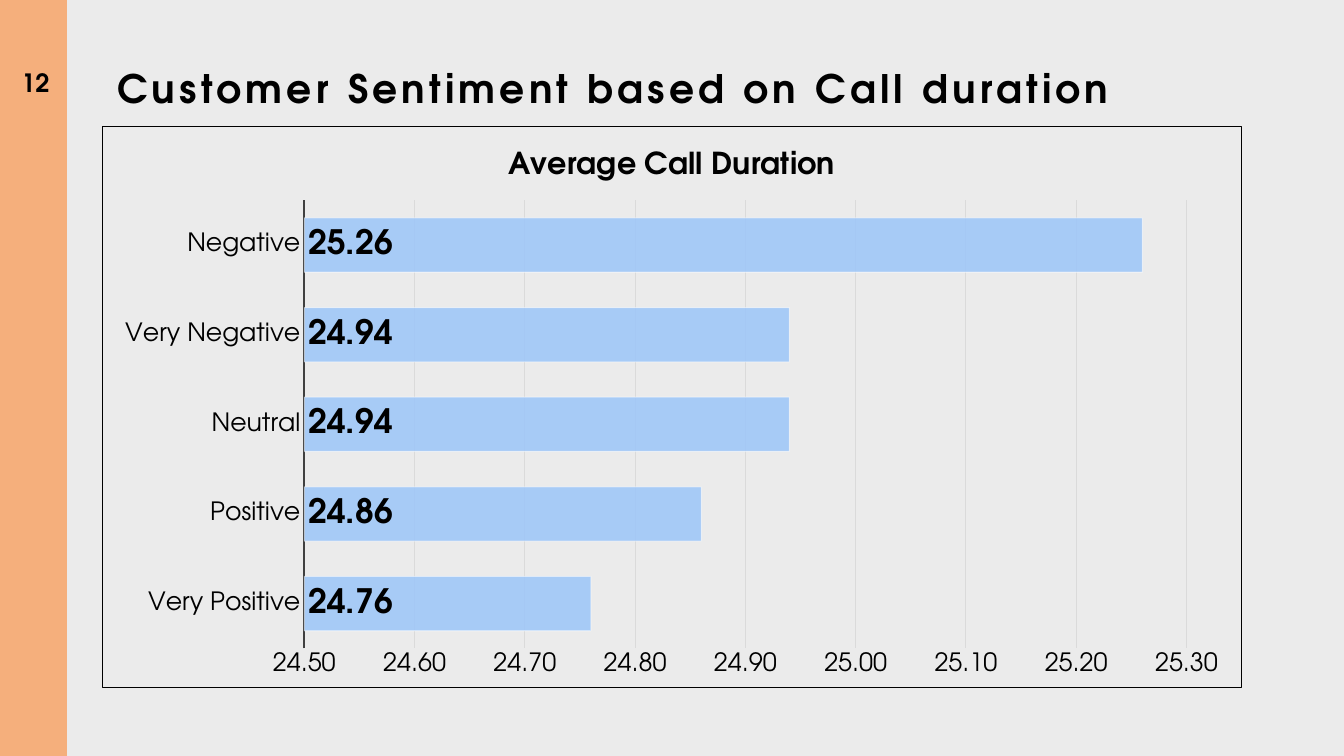
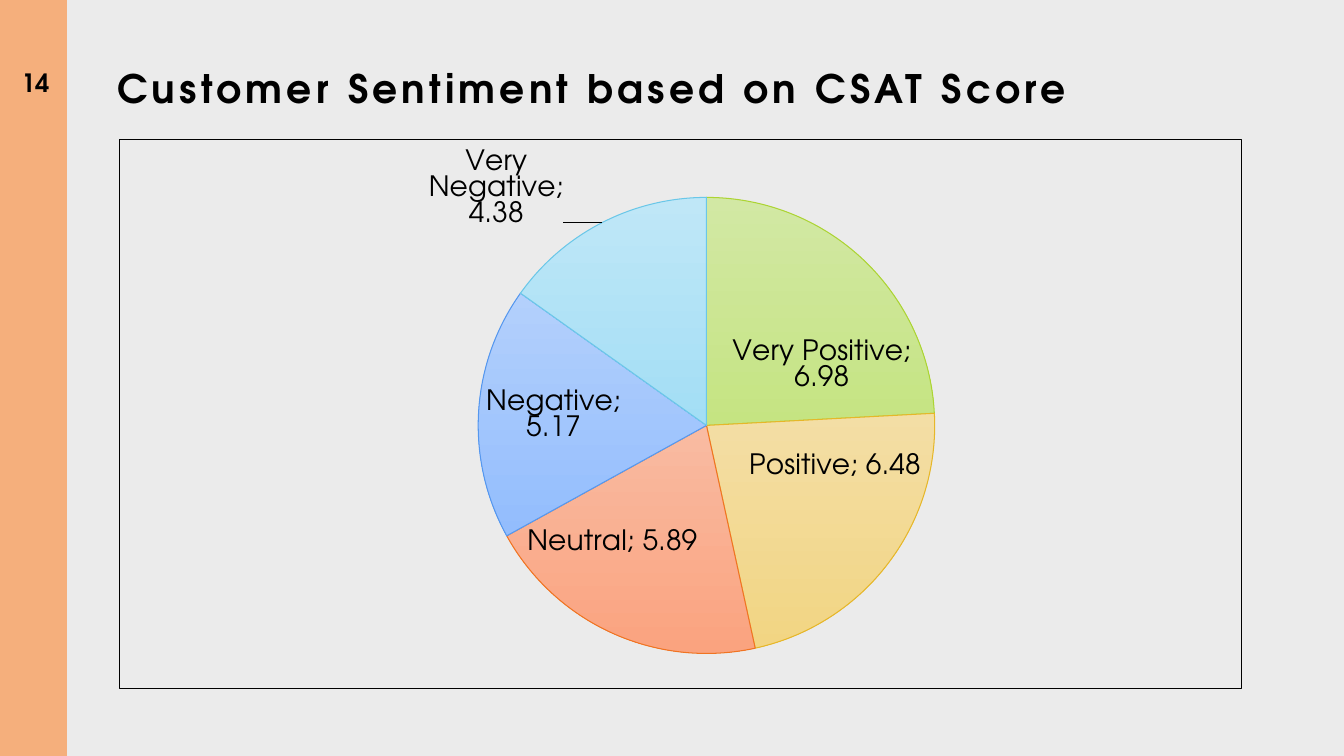
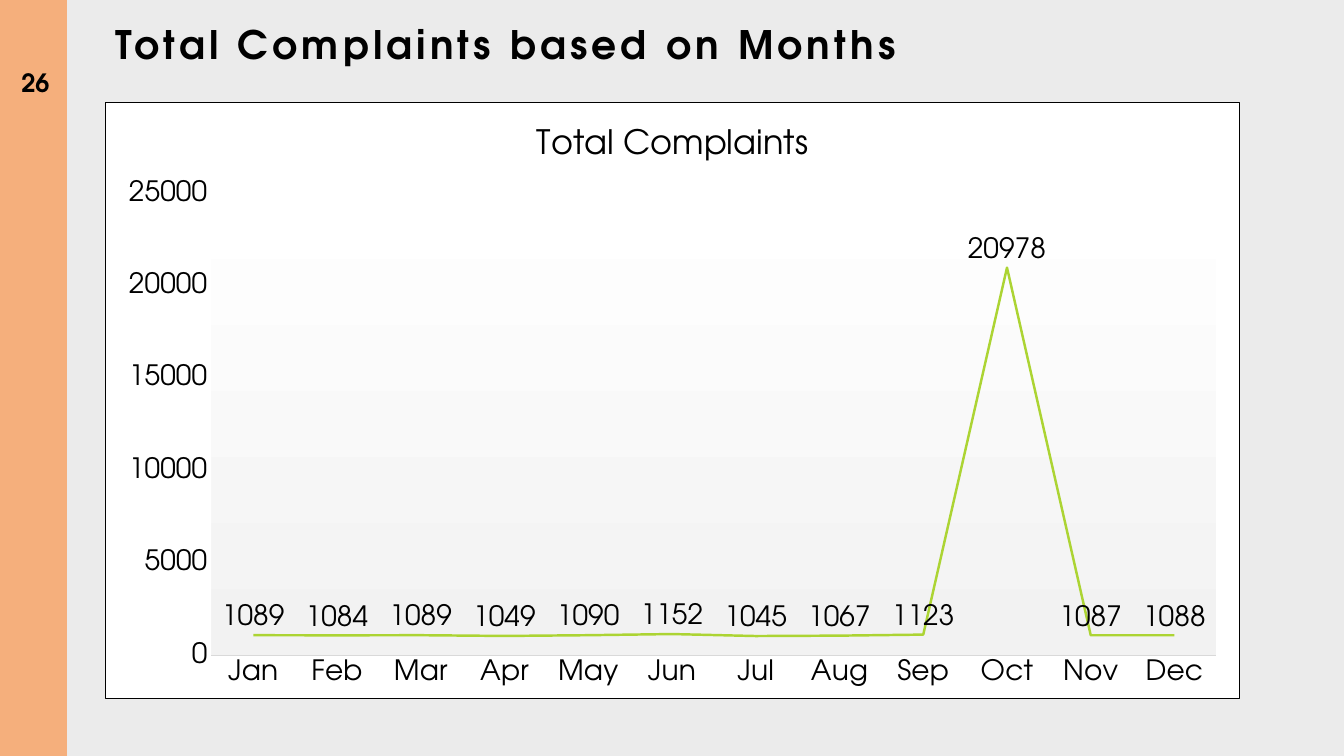
from pptx import Presentation
from pptx.chart.data import CategoryChartData
from pptx.dml.color import RGBColor
from pptx.enum.chart import XL_CHART_TYPE as CT, XL_LABEL_POSITION as LP, XL_TICK_MARK as TM
from pptx.enum.shapes import MSO_SHAPE
from pptx.enum.text import MSO_ANCHOR, MSO_AUTO_SIZE, PP_ALIGN
from pptx.oxml import parse_xml
from pptx.oxml.ns import nsdecls, qn
from pptx.util import Emu, Pt

FONT = "TeX Gyre Adventor"
BLACK = "000000"
NS = nsdecls("a", "c")


def px(n):
    return Emu(round(n * 914400 / 100.8))


def rgb(color):
    return RGBColor.from_string(color)


prs = Presentation()
prs.slide_width, prs.slide_height = px(1344), px(756)
layout = prs.slide_layouts[5]
layout.background.fill.solid()
layout.background.fill.fore_color.rgb = rgb("EBEBEB")

moods = ["Very Positive", "Positive", "Neutral", "Negative", "Very Negative"]
months = "Jan Feb Mar Apr May Jun Jul Aug Sep Oct Nov Dec".split()
pages = [
    dict(title="Customer Sentiment based on Call duration", number="12", at=(107, 68),
         type=CT.BAR_CLUSTERED, box=(102, 126, 1140, 562), plot=(304, 200, 883, 449),
         cats=["Very Positive", "Positive", "Neutral", "Very Negative", "Negative"],
         name="Average Call Duration", vals=[24.76, 24.86, 24.94, 24.94, 25.26],
         size=18, label_size=24, heading=(21.6, True), pos=LP.INSIDE_BASE, fmt="0.00", back="<a:noFill/>"),
    dict(title="Customer Sentiment based on CSAT Score", number="14", at=(107, 68),
         type=CT.PIE, box=(119, 139, 1123, 550), plot=(478, 197, 457, 457),
         cats=moods, name="Series 1", vals=[6.98, 6.48, 5.89, 5.17, 4.38],
         size=20, label_size=20, heading=None, pos=LP.CENTER, fmt="0.00", back="<a:noFill/>"),
    dict(title="Total Complaints based on Months", number="26", at=(105, 24),
         type=CT.LINE, box=(105, 102, 1135, 597), plot=(211, 193, 1006, 463),
         cats=months, name="Total Complaints",
         vals=[1089, 1084, 1089, 1049, 1090, 1152, 1045, 1067, 1123, 20978, 1087, 1088],
         size=20, label_size=20, heading=(24, False), pos=LP.ABOVE, fmt="General",
         back='<a:solidFill><a:srgbClr val="FFFFFF"/></a:solidFill>'),
]

charts = []
for page in pages:
    s = prs.slides.add_slide(layout)
    if not charts:
        band = s.shapes.add_shape(MSO_SHAPE.RECTANGLE, 0, 0, px(67), px(756))
        band.shadow.inherit = False
        band.fill.solid()
        band.fill.fore_color.rgb = rgb("F5AF7C")
        band.line.fill.background()
        layout.shapes._spTree.insert(2, band._element)

    title = s.shapes.title
    title.left, title.top = px(page["at"][0]), px(page["at"][1])
    title.width, title.height = px(1135), px(118)
    number = s.shapes.add_textbox(px(2), px(62), px(67), px(41))
    for sp, text, size, anchor, align in [
        (title, page["title"], 28, MSO_ANCHOR.TOP, PP_ALIGN.LEFT),
        (number, page["number"], 18, MSO_ANCHOR.BOTTOM, PP_ALIGN.CENTER),
    ]:
        tf = sp.text_frame
        tf.text = text
        tf.word_wrap = True
        tf.auto_size = MSO_AUTO_SIZE.NONE
        tf.vertical_anchor = anchor
        p = tf.paragraphs[0]
        p.alignment = align
        r = p.runs[0]
        r.font.name, r.font.size, r.font.bold = FONT, Pt(size), True
        r.font.color.rgb = rgb(BLACK)
    title_p = title.text_frame.paragraphs[0]
    title_p.line_spacing = 0.8
    title_p.runs[0].font._element.set("spc", "300")

    data = CategoryChartData(number_format=page["fmt"])
    data.categories = page["cats"]
    data.add_series(page["name"], page["vals"])
    x, y, w, h = page["box"]
    chart = s.shapes.add_chart(page["type"], px(x), px(y), px(w), px(h), data).chart
    charts.append(chart)
    chart.has_legend = False
    chart.font.name, chart.font.size = FONT, Pt(page["size"])
    chart.font.color.rgb = rgb(BLACK)
    chart.has_title = page["heading"] is not None
    if chart.has_title:
        tf = chart.chart_title.text_frame
        tf.text = page["name"]
        r = tf.paragraphs[0].runs[0]
        r.font.name, r.font.size, r.font.bold = FONT, Pt(page["heading"][0]), page["heading"][1]
        r.font.color.rgb = rgb(BLACK)

    labels = chart.plots[0].series[0].data_labels
    labels.show_value = True
    labels.position = page["pos"]
    labels.number_format, labels.number_format_is_linked = page["fmt"], False
    labels.font.name, labels.font.size = FONT, Pt(page["label_size"])
    labels.font.bold = page["type"] == CT.BAR_CLUSTERED
    labels.font.color.rgb = rgb(BLACK)

    chart._chartSpace.find(qn("c:chart")).addnext(parse_xml(
        f'<c:spPr {NS}>{page["back"]}<a:ln w="9525"><a:solidFill>'
        f'<a:srgbClr val="{BLACK}"/></a:solidFill></a:ln></c:spPr>'))
    area = chart._chartSpace.chart.plotArea
    for old in area.findall(qn("c:layout")):
        area.remove(old)
    left, top, width, height = page["plot"]
    area.insert(0, parse_xml(
        f'<c:layout {NS}><c:manualLayout><c:layoutTarget val="inner"/>'
        f'<c:xMode val="edge"/><c:yMode val="edge"/>'
        f'<c:x val="{(left - x) / w:.4f}"/><c:y val="{(top - y) / h:.4f}"/>'
        f'<c:w val="{width / w:.4f}"/><c:h val="{height / h:.4f}"/>'
        f'</c:manualLayout></c:layout>'))

bar, pie, line = charts
for chart, low, high, step, color, weight in [
    (bar, 24.5, 25.3, 0.1, "404040", 1.5),
    (line, 0, 25000, 5000, "D9D9D9", 0.75),
]:
    values, cats = chart.value_axis, chart.category_axis
    values.minimum_scale, values.maximum_scale, values.major_unit = low, high, step
    for axis in (values, cats):
        axis.major_tick_mark = axis.minor_tick_mark = TM.NONE
    values.format.line.fill.background()
    values.has_major_gridlines = chart is bar
    cats.format.line.color.rgb = rgb(color)
    cats.format.line.width = Pt(weight)

bar.value_axis.tick_labels.number_format = "0.00"
bar.value_axis.tick_labels.number_format_is_linked = False
grid = bar.value_axis.major_gridlines.format.line
grid.color.rgb, grid.width = rgb("DADADA"), Pt(0.75)
bar.plots[0].gap_width = 65
bar.plots[0].vary_by_categories = False
ser = bar.plots[0].series[0]
ser.format.fill.solid()
ser.format.fill.fore_color.rgb = rgb("9CC6F9")
ser.format.line.color.rgb, ser.format.line.width = rgb("FFFFFF"), Pt(0.75)
for clr, alpha in zip(ser._element.xpath("./c:spPr//a:srgbClr"), (85000, 50000)):
    clr.append(parse_xml(f'<a:alpha {NS} val="{alpha}"/>'))

pie.plots[0].vary_by_categories = True
ser = pie.plots[0].series[0]
ser.data_labels.show_category_name = True
slices = [
    ("D2E8A4", "C5E482", "ACD433", 37, 23),
    ("F3DEA5", "F2D583", "E6B729", 38, -28),
    ("F9BBA2", "FAA37F", "F07422", -47, 13),
    ("B3D0FC", "93BDFD", "5597EE", -39, -3),
    ("BFE7F7", "A3DEF5", "6AC7E8", -158, -136),
]
for i, (light, dark, edge, dx, dy) in enumerate(slices):
    fmt = ser.points[i].format
    fmt.fill.gradient()
    fmt.fill.gradient_angle = 270
    for stop, color in zip(fmt.fill.gradient_stops, (light, dark)):
        stop.color.rgb = rgb(color)
    fmt.line.color.rgb, fmt.line.width = rgb(edge), Pt(0.75)
    ser.data_labels._element.insert(i, parse_xml(
        f'<c:dLbl {NS}><c:idx val="{i}"/><c:layout><c:manualLayout>'
        f'<c:x val="{dx / 1123:.4f}"/><c:y val="{dy / 550:.4f}"/></c:manualLayout></c:layout>'
        f'<c:numFmt formatCode="0.00" sourceLinked="0"/><c:dLblPos val="ctr"/>'
        f'<c:showLegendKey val="0"/><c:showVal val="1"/><c:showCatName val="1"/>'
        f'<c:showSerName val="0"/><c:showPercent val="0"/><c:showBubbleSize val="0"/>'
        f'<c:separator>; </c:separator></c:dLbl>'))

ser = line.plots[0].series[0]
ser.smooth = False
ser.format.line.color.rgb, ser.format.line.width = rgb("ACD433"), Pt(1.75)
line._chartSpace.chart.plotArea.append(parse_xml(
    f'<c:spPr {NS}><a:gradFill><a:gsLst>'
    f'<a:gs pos="0"><a:srgbClr val="FFFFFF"/></a:gs><a:gs pos="100000"><a:srgbClr val="F2F2F2"/></a:gs>'
    f'</a:gsLst><a:lin ang="5400000" scaled="0"/></a:gradFill></c:spPr>'))

prs.save("out.pptx")
